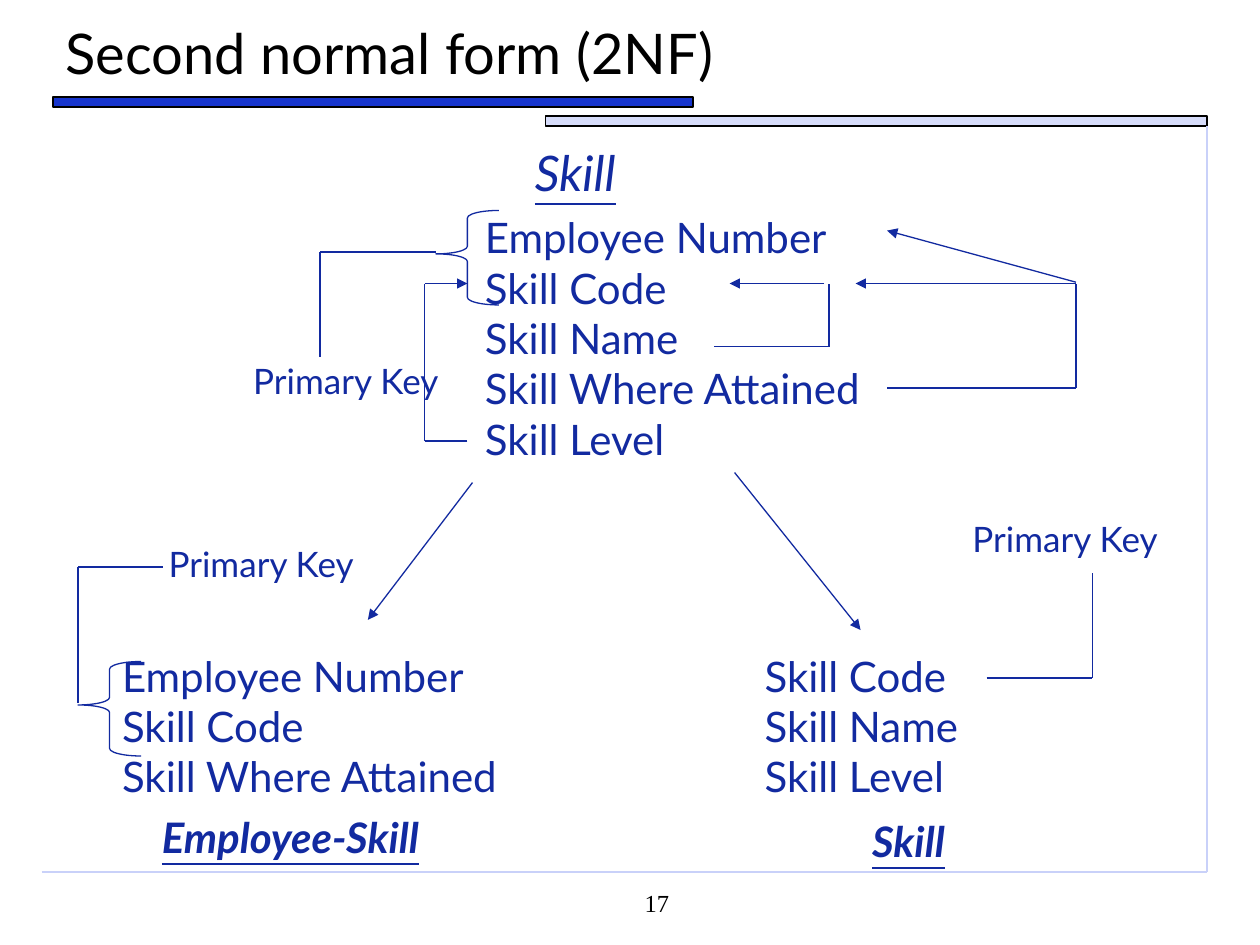
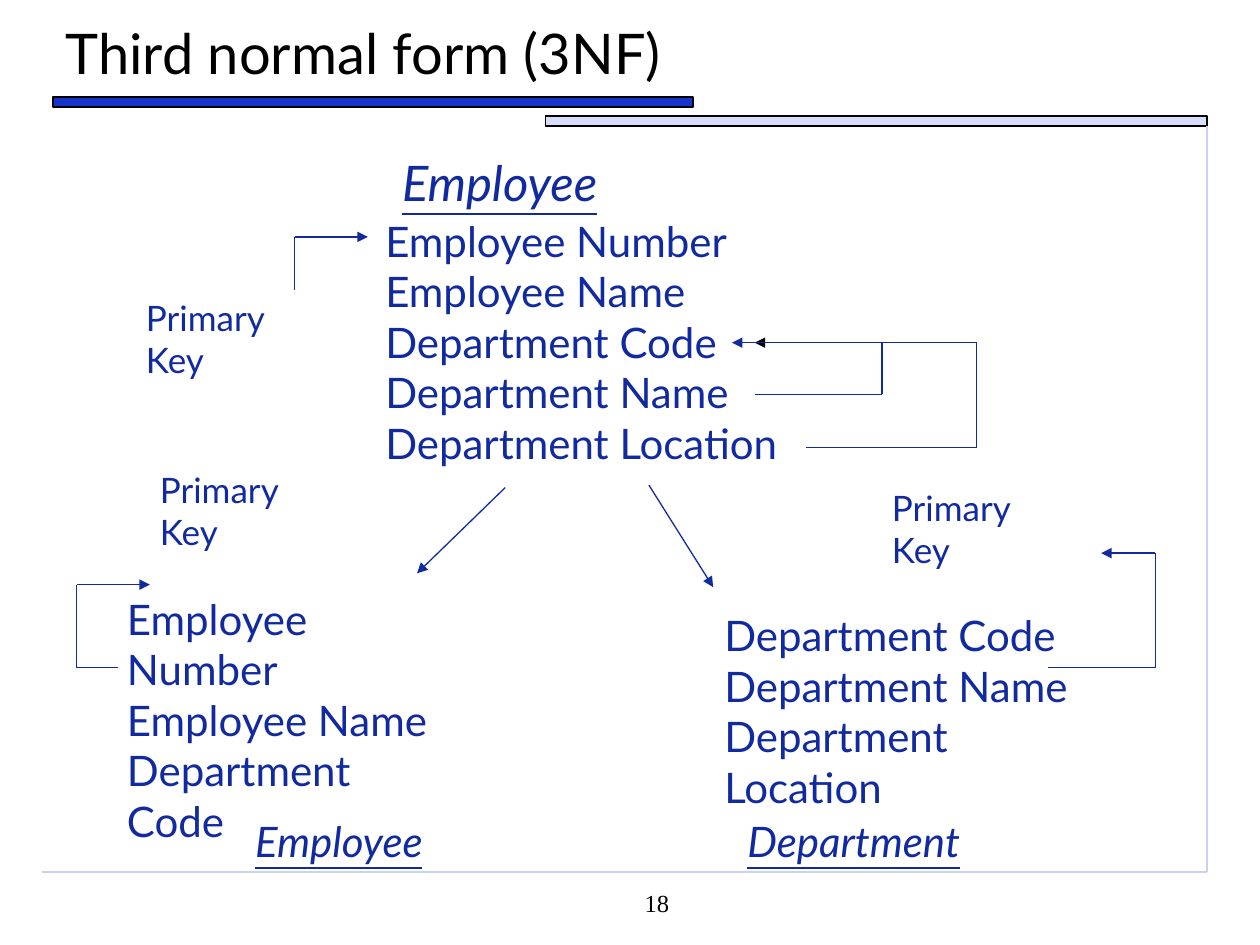
from dataclasses import dataclass
from itertools import pairwise

from lxml import etree
from pptx import Presentation
from pptx import util as u
from pptx.dml.color import RGBColor
from pptx.enum import shapes, text
from pptx.oxml.ns import qn
from pptx.slide import Slide

PX = 9144  # EMU in one px, at 100 px to the inch
BLACK = RGBColor(0x00, 0x00, 0x00)
INK = RGBColor(0x12, 0x2A, 0xA0)
DARK_BAND = RGBColor(0x17, 0x35, 0xCD)
PALE_BAND = RGBColor(0xD6, 0xDC, 0xFA)
FRAME = RGBColor(0xC9, 0xD1, 0xF9)
BODY_FONT = "Lato"
NUMBER_FONT = "Times New Roman"
HAIRLINE = u.Pt(0.75)
LEFT, CENTER, RIGHT = text.PP_ALIGN.LEFT, text.PP_ALIGN.CENTER, text.PP_ALIGN.RIGHT

Box = tuple[int, int, int, int]
Point = tuple[int, int]


@dataclass(frozen=True)
class Style:
    size: int
    align: text.PP_ALIGN = LEFT
    bold: bool = False
    italic: bool = False
    underline: bool = False
    color: RGBColor = INK
    font: str = BODY_FONT


TITLE = Style(32, color=BLACK)
PAGE_NUMBER = Style(14, RIGHT, color=BLACK, font=NUMBER_FONT)
FIELDS = Style(24)
KEY = Style(20)
CENTERED_KEY = Style(20, CENTER)
SOURCE_NAME = Style(28, CENTER, italic=True, underline=True)
RESULT_NAME = Style(24, CENTER, italic=True, underline=True)
BOLD_RESULT_NAME = Style(24, CENTER, bold=True, italic=True, underline=True)


@dataclass(frozen=True)
class Label:
    box: Box
    style: Style
    lines: tuple[str, ...]
    wrap: bool = False


@dataclass(frozen=True)
class Trace:
    """A chain of straight lines, with an optional arrowhead at its end."""
    points: tuple[Point, ...]
    arrow: bool = False
    color: RGBColor = INK


@dataclass(frozen=True)
class NormalForm:
    title: str
    number: int
    labels: tuple[Label, ...]
    traces: tuple[Trace, ...]
    braces: tuple[Box, ...] = ()


def emu(box: tuple[int, ...]) -> list[int]:
    return [length * PX for length in box]


def write(frame, lines: tuple[str, ...], style: Style) -> None:
    """Fill a text frame, one paragraph a line; a newline breaks within it."""
    for index, line in enumerate(lines):
        para = frame.add_paragraph() if index else frame.paragraphs[0]
        para.alignment = style.align
        for part, words in enumerate(line.split("\n")):
            if part:
                para.add_line_break()
            span = para.add_run()
            span.text = words
            font = span.font
            font.name, font.size = style.font, u.Pt(style.size)
            font.bold, font.italic = style.bold, style.italic
            font.underline = style.underline
            font.color.rgb = style.color


def add_label(page: Slide, label: Label) -> None:
    frame = page.shapes.add_textbox(*emu(label.box)).text_frame
    frame.word_wrap = label.wrap
    frame.auto_size = text.MSO_AUTO_SIZE.SHAPE_TO_FIT_TEXT
    frame.vertical_anchor = text.MSO_ANCHOR.MIDDLE
    write(frame, label.lines, label.style)


def add_trace(page: Slide, trace: Trace) -> None:
    for start, end in pairwise(trace.points):
        line = page.shapes.add_connector(shapes.MSO_CONNECTOR.STRAIGHT, *emu(start + end))
        line.line.color.rgb = trace.color
        line.line.width = HAIRLINE
        if trace.arrow and end == trace.points[-1]:
            outline = line.line._get_or_add_ln()
            etree.SubElement(outline, qn("a:tailEnd"), type="triangle")
        etree.SubElement(line._element.spPr, qn("a:effectLst"))


def add_band(page: Slide, box: Box, color: RGBColor) -> None:
    band = page.shapes.add_shape(shapes.MSO_SHAPE.RECTANGLE, *emu(box))
    band.shadow.inherit = False
    band.fill.solid()
    band.fill.fore_color.rgb = color
    band.line.color.rgb = BLACK
    band.line.width = HAIRLINE


def add_brace(page: Slide, box: Box) -> None:
    brace = page.shapes.add_shape(shapes.MSO_SHAPE.LEFT_BRACE, *emu(box))
    brace.shadow.inherit = False
    brace.adjustments[0], brace.adjustments[1] = 0.12, 0.46
    brace.fill.background()
    brace.line.color.rgb = INK
    brace.line.width = HAIRLINE


def add_frame(page: Slide, number: int) -> None:
    """Draw the bands, the thin border and the page number."""
    add_band(page, (42, 77, 508, 8), DARK_BAND)
    add_band(page, (433, 92, 525, 8), PALE_BAND)
    add_trace(page, Trace(((958, 100), (958, 692)), color=FRAME))
    add_trace(page, Trace(((33, 692), (958, 692)), color=FRAME))
    frame = page.shapes.add_textbox(*emu((333, 700, 208, 50))).text_frame
    frame.word_wrap = True
    write(frame, (str(number),), PAGE_NUMBER)


def set_title(page: Slide, title: str) -> None:
    holder = page.shapes.title
    holder.left, holder.top, holder.width, holder.height = emu((42, 0, 933, 83))
    frame = holder.text_frame
    frame.auto_size = text.MSO_AUTO_SIZE.NONE
    frame.vertical_anchor = text.MSO_ANCHOR.MIDDLE
    write(frame, (title,), TITLE)
    frame.paragraphs[0].space_before = u.Pt(8)


def add_normal_form(deck, form: NormalForm) -> None:
    page = deck.slides.add_slide(deck.slide_layouts[5])
    set_title(page, form.title)
    add_frame(page, form.number)
    for label in form.labels:
        add_label(page, label)
    for trace in form.traces:
        add_trace(page, trace)
    for brace in form.braces:
        add_brace(page, brace)


SECOND = NormalForm(
    "Second normal form (2NF)", 17,
    labels=(
        Label((412, 108, 89, 57), SOURCE_NAME, ("Skill",)),
        Label((375, 163, 335, 210), FIELDS,
              ("Employee Number", "Skill Code\nSkill Name",
               "Skill Where Attained", "Skill Level")),
        Label((186, 280, 177, 44), CENTERED_KEY, ("Primary Key",)),
        Label((87, 511, 335, 130), FIELDS,
              ("Employee Number", "Skill Code\nSkill Where Attained")),
        Label((597, 511, 184, 130), FIELDS, ("Skill Code\nSkill Name", "Skill Level")),
        Label((124, 425, 177, 44), KEY, ("Primary Key",)),
        Label((762, 405, 177, 44), KEY, ("Primary Key",)),
        Label((83, 639, 295, 50), BOLD_RESULT_NAME, ("Employee-Skill",), wrap=True),
        Label((667, 642, 108, 50), BOLD_RESULT_NAME, ("Skill",), wrap=True),
    ),
    traces=(
        Trace(((567, 275), (658, 275), (658, 225))),
        Trace(((654, 225), (579, 225)), arrow=True),
        Trace(((704, 308), (854, 308), (854, 225), (679, 225)), arrow=True),
        Trace(((854, 224), (704, 183)), arrow=True),
        Trace(((371, 350), (337, 350), (337, 225), (371, 225)), arrow=True),
        Trace(((62, 558), (62, 450), (129, 450))),
        Trace(((783, 538), (867, 538), (867, 455))),
        Trace(((254, 283), (254, 200), (346, 200))),
        Trace(((375, 383), (292, 492)), arrow=True),
        Trace(((583, 375), (683, 500)), arrow=True),
    ),
    braces=((346, 167, 50, 75), (62, 525, 50, 75)),
)

THIRD = NormalForm(
    "Third normal form (3NF)", 18,
    labels=(
        Label((565, 459, 307, 210), FIELDS,
              ("Department Code", "Department Name", "Department Location"), wrap=True),
        Label((304, 116, 185, 57), SOURCE_NAME, ("Employee",)),
        Label((296, 166, 353, 210), FIELDS,
              ("Employee Number", "Employee Name", "Department Code",
               "Department Name", "Department Location")),
        Label((91, 446, 276, 250), FIELDS,
              ("Employee Number", "Employee Name", "Department Code"), wrap=True),
        Label((117, 367, 165, 77), KEY, ("Primary Key",), wrap=True),
        Label((698, 381, 165, 77), KEY, ("Primary Key",), wrap=True),
        Label((106, 230, 165, 77), KEY, ("Primary Key",), wrap=True),
        Label((188, 642, 162, 50), RESULT_NAME, ("Employee",)),
        Label((579, 642, 197, 50), RESULT_NAME, ("Department",)),
    ),
    traces=(
        Trace(((234, 230), (234, 188), (292, 188)), arrow=True),
        Trace(((401, 387), (331, 455)), arrow=True),
        Trace(((515, 385), (566, 466)), arrow=True),
        Trace(((599, 313), (700, 313), (700, 272))),
        Trace(((700, 272), (599, 272)), arrow=True, color=BLACK),
        Trace(((640, 355), (775, 355), (775, 272), (581, 272)), arrow=True),
        Trace(((94, 530), (61, 530), (61, 464), (119, 464)), arrow=True),
        Trace(((832, 530), (917, 530), (917, 439), (874, 439)), arrow=True),
    ),
)


def main() -> None:
    deck = Presentation()
    deck.slide_width, deck.slide_height = emu((1000, 750))
    for form in (SECOND, THIRD):
        add_normal_form(deck, form)
    deck.save("out.pptx")


if __name__ == "__main__":
    main()
